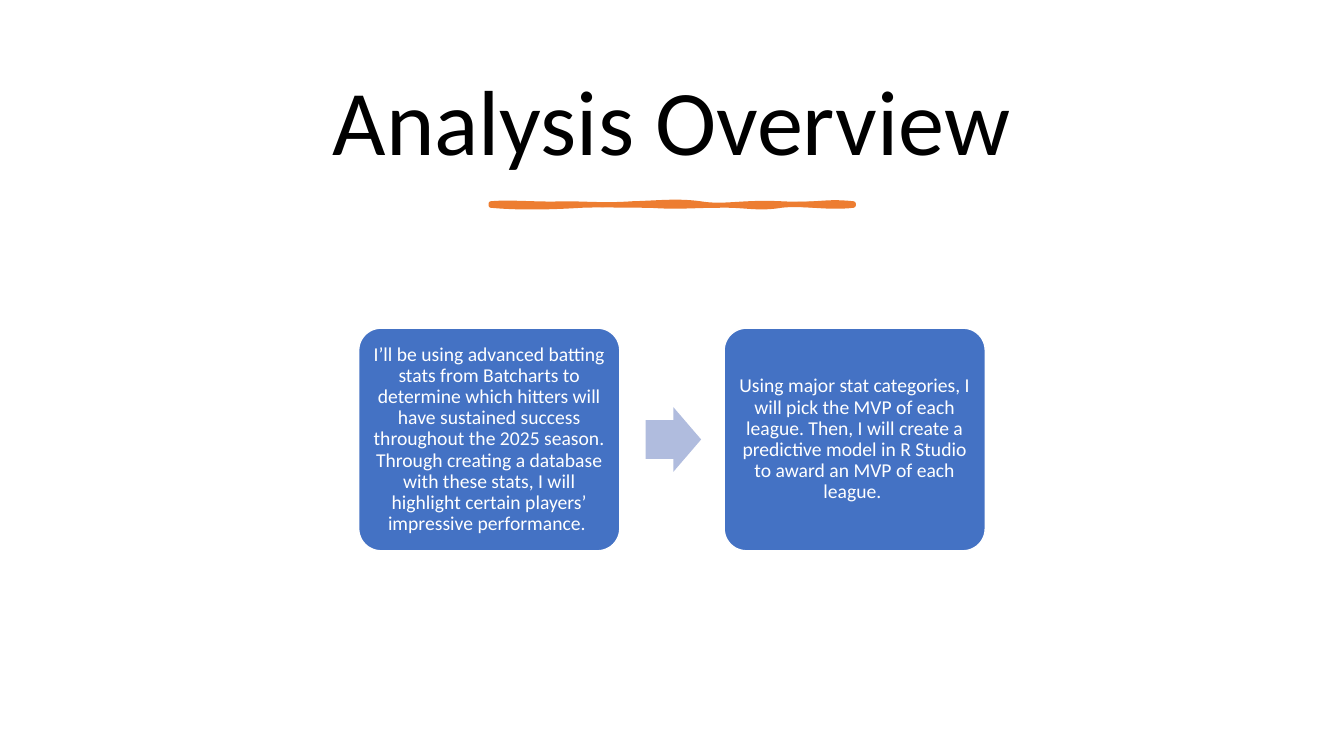
from dataclasses import dataclass

from lxml import etree
from pptx import Presentation
from pptx.dml.color import RGBColor
from pptx.enum.shapes import MSO_SHAPE
from pptx.enum.text import MSO_ANCHOR, PP_ALIGN
from pptx.oxml.ns import qn
from pptx.shapes.autoshape import Shape
from pptx.slide import Slide
from pptx.text.text import TextFrame
from pptx.util import Cm, Pt

CENTER = PP_ALIGN.CENTER
MIDDLE = MSO_ANCHOR.MIDDLE
ROUND_RECT = MSO_SHAPE.ROUNDED_RECTANGLE
RIGHT_ARROW = MSO_SHAPE.RIGHT_ARROW

Point = tuple[float, float]
Curve = tuple[Point, Point, Point]


@dataclass(frozen=True)
class Theme:
    font: str = "Calibri"
    title_size: float = 66
    card_size: float = 14
    stroke_width: float = 3.25
    card_line_width: float = 1
    black: str = "000000"
    white: str = "FFFFFF"
    blue: str = "4472C4"
    pale_blue: str = "B0BCDE"
    orange: str = "ED7D31"


@dataclass(frozen=True)
class Box:
    left: float
    top: float
    width: float
    height: float


@dataclass(frozen=True)
class Contour:
    option: tuple[str, str]
    curves: list[Curve]


THEME = Theme()
TITLE_BOX = Box(1.78, 1.27, 30.3, 3.81)
BRUSH_BOX = Box(12.37, 5.13, 9.14, 0.05)
FIRST_CARD = Box(9.04, 8.27, 6.58, 5.61)
FIRST_ARROW = Box(16.27, 10.26, 1.4, 1.63)
CARD_PITCH = 9.21
CARD_INSET = 0.15
TITLE_INSET = 0.13

CARDS = [
    "I’ll be using advanced batting stats from Batcharts to determine which "
    "hitters will have sustained success throughout the 2025 season. Through "
    "creating a database with these stats, I will highlight certain players’ "
    "impressive performance. ",
    "Using major stat categories, I will pick the MVP of each league. Then, I "
    "will create a predictive model in R Studio to award an MVP of each league. ",
]

BRUSH_START: Point = (12.37, 5.13)
RIGHT_END: Curve = ((21.51, 5.16), (21.51, 5.16), (21.51, 5.18))
LEFT_END: Curve = ((12.37, 5.18), (12.37, 5.16), BRUSH_START)

BRUSH = [
    Contour(("fill", "none"), [
        ((12.85, 5.08), (13.59, 5.16), (14.2, 5.13)),
        ((14.78, 5.13), (15.24, 5.18), (15.93, 5.13)),
        ((16.61, 5.11), (17.07, 5.05), (17.65, 5.13)),
        ((18.26, 5.23), (18.67, 5.08), (19.69, 5.13)),
        ((20.68, 5.18), (20.75, 5.05), (21.51, 5.13)),
        RIGHT_END,
        ((20.83, 5.26), (20.27, 5.11), (19.69, 5.18)),
        ((19.08, 5.28), (18.77, 5.16), (18.11, 5.18)),
        ((17.48, 5.18), (17.09, 5.23), (16.38, 5.18)),
        ((15.67, 5.18), (15.14, 5.16), (14.66, 5.18)),
        ((14.15, 5.21), (13.21, 5.26), (12.37, 5.18)),
        LEFT_END,
    ]),
    Contour(("stroke", "0"), [
        ((12.9, 5.21), (13.56, 5.18), (14, 5.13)),
        ((14.45, 5.08), (15.19, 5.23), (16.03, 5.13)),
        ((16.84, 5.05), (17.07, 5.11), (17.58, 5.13)),
        ((18.08, 5.18), (18.47, 5.18), (19.13, 5.13)),
        ((19.81, 5.11), (20.73, 5.03), (21.51, 5.13)),
        RIGHT_END,
        ((21.01, 5.18), (20.57, 5.28), (19.76, 5.18)),
        ((18.97, 5.11), (18.64, 5.26), (18.03, 5.18)),
        ((17.4, 5.13), (17.02, 5.16), (16.28, 5.18)),
        ((15.57, 5.23), (14.73, 5.23), (14.27, 5.18)),
        ((13.84, 5.13), (12.88, 5.18), (12.37, 5.18)),
        LEFT_END,
    ]),
]


def style_shape(sp: Shape, fill: str, line: str | None, width: float) -> None:
    sp.shadow.inherit = False
    sp.fill.solid()
    sp.fill.fore_color.rgb = RGBColor.from_string(fill)
    if line:
        sp.line.color.rgb = RGBColor.from_string(line)
        sp.line.width = Pt(width)
    else:
        sp.line.fill.background()


def write_text(tf: TextFrame, text: str, *, size: float, color: str,
               inset: float) -> None:
    tf.word_wrap = True
    tf.vertical_anchor = MIDDLE
    tf.margin_left = tf.margin_right = Cm(inset)
    tf.margin_top = tf.margin_bottom = Cm(inset)
    p = tf.paragraphs[0]
    p.alignment = CENTER
    p.line_spacing = 0.9
    r = p.add_run()
    r.text = text
    r.font.name = THEME.font
    r.font.size = Pt(size)
    r.font.color.rgb = RGBColor.from_string(color)


def add_box(s: Slide, kind: MSO_SHAPE, box: Box, adjustments: list[float],
            fill: str, line: str | None = None) -> Shape:
    sp = s.shapes.add_shape(kind, Cm(box.left), Cm(box.top),
                            Cm(box.width), Cm(box.height))
    for i, value in enumerate(adjustments):
        sp.adjustments[i] = value
    style_shape(sp, fill, line, THEME.card_line_width)
    return sp


def add_command(outline: etree.Element, name: str, points: tuple[Point, ...]) -> None:
    command = etree.SubElement(outline, qn(f"a:{name}"))
    for x, y in points:
        etree.SubElement(command, qn("a:pt"), x=str(Cm(x - BRUSH_BOX.left)),
                         y=str(Cm(y - BRUSH_BOX.top)))


def add_brush(s: Slide, box: Box, contours: list[Contour]) -> None:
    builder = s.shapes.build_freeform(Cm(box.left), Cm(box.top))
    right, bottom = Cm(box.left + box.width), Cm(box.top + box.height)
    builder.add_line_segments([(right, Cm(box.top)), (right, bottom)])
    sp = builder.convert_to_shape()
    outlines = next(sp.element.iter(qn("a:pathLst")))
    outlines.remove(outlines[0])
    for contour in contours:
        outline = etree.SubElement(outlines, qn("a:path"), w=str(Cm(box.width)),
                                   h=str(Cm(box.height)))
        outline.set(*contour.option)
        add_command(outline, "moveTo", (BRUSH_START,))
        for curve in contour.curves:
            add_command(outline, "cubicBezTo", curve)
        add_command(outline, "close", ())
    style_shape(sp, THEME.orange, THEME.orange, THEME.stroke_width)


def add_title(s: Slide, box: Box, text: str) -> None:
    sp = s.shapes.add_textbox(Cm(box.left), Cm(box.top),
                              Cm(box.width), Cm(box.height))
    write_text(sp.text_frame, text, size=THEME.title_size,
               color=THEME.black, inset=TITLE_INSET)


def add_card(s: Slide, box: Box, text: str) -> None:
    sp = add_box(s, ROUND_RECT, box, [0.1], THEME.blue, THEME.white)
    write_text(sp.text_frame, text, size=THEME.card_size,
               color=THEME.white, inset=CARD_INSET)


def shift(box: Box, distance: float) -> Box:
    return Box(box.left + distance, box.top, box.width, box.height)


def main() -> None:
    prs = Presentation()
    prs.slide_width, prs.slide_height = Cm(33.87), Cm(19.05)
    s = prs.slides.add_slide(prs.slide_layouts[6])
    add_title(s, TITLE_BOX, "Analysis Overview")
    add_brush(s, BRUSH_BOX, BRUSH)
    for i, text in enumerate(CARDS):
        if i:
            arrow = shift(FIRST_ARROW, (i - 1) * CARD_PITCH)
            add_box(s, RIGHT_ARROW, arrow, [0.6, 0.5], THEME.pale_blue)
        add_card(s, shift(FIRST_CARD, i * CARD_PITCH), text)
    prs.save("out.pptx")


if __name__ == "__main__":
    main()
